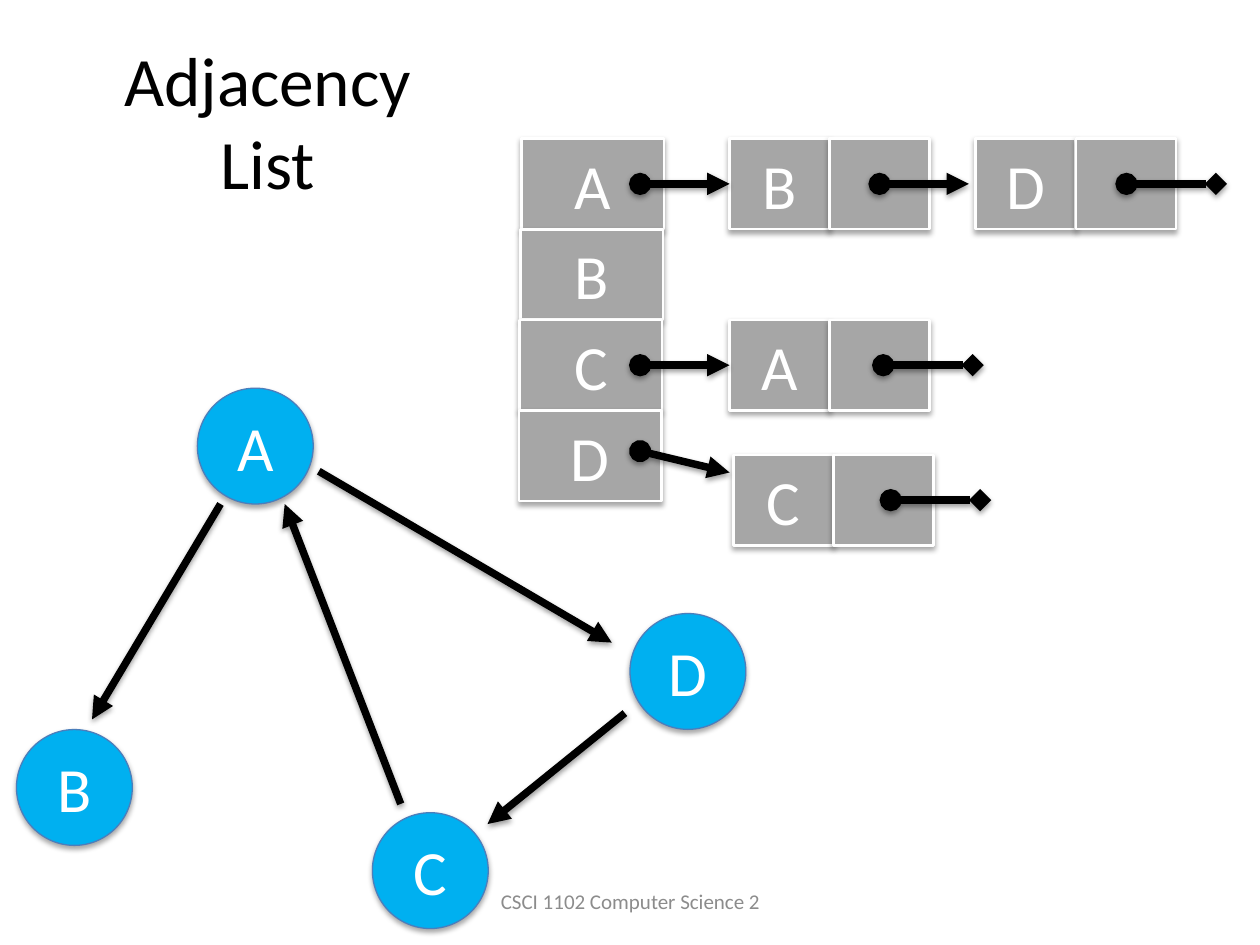
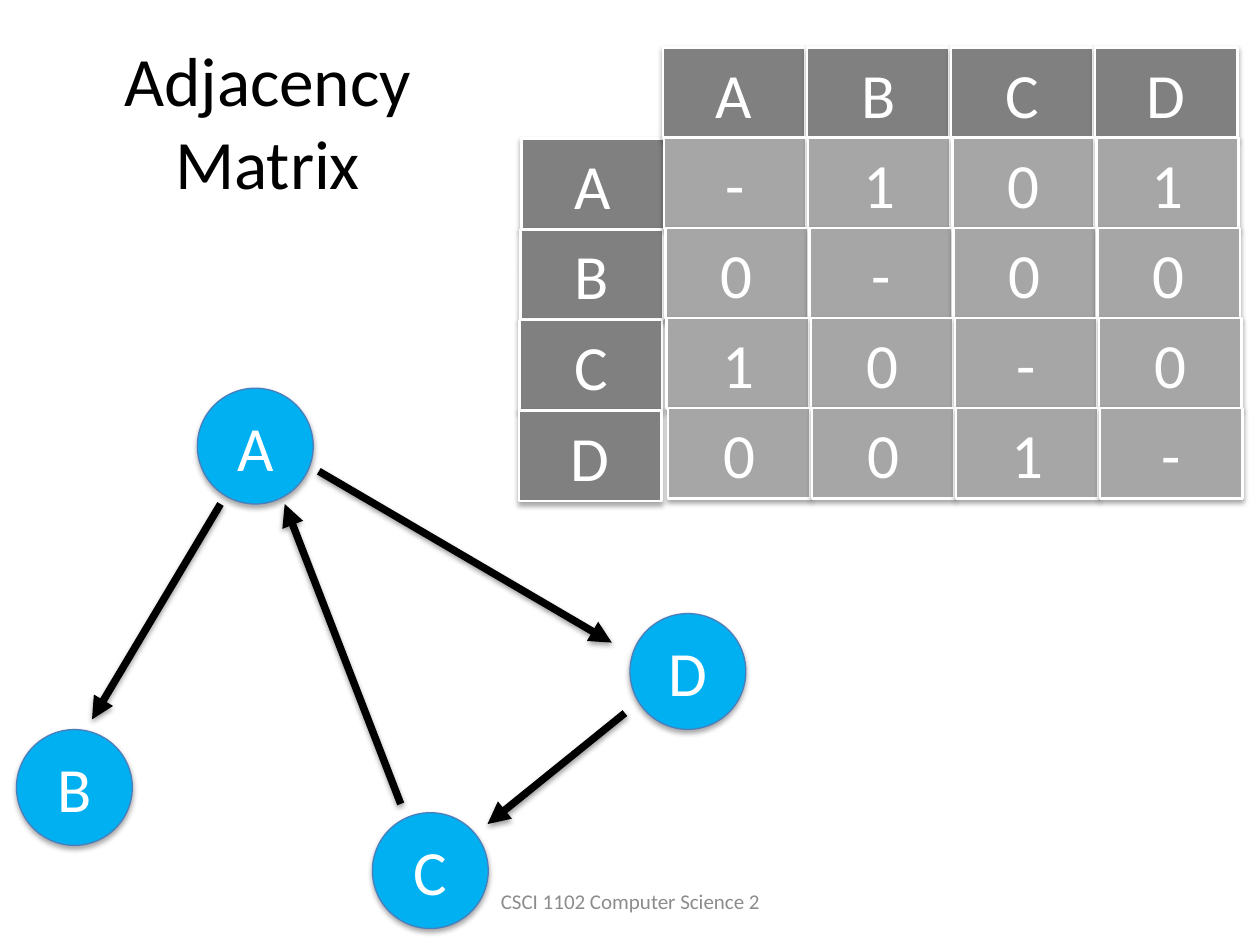
import pptx
import pptx.dml.color
import pptx.enum.shapes
import pptx.enum.text
import pptx.oxml.ns
import pptx.util
from lxml import etree

Pt = pptx.util.Pt
color = pptx.dml.color.RGBColor.from_string
SHAPE = pptx.enum.shapes.MSO_SHAPE

# Shared look
BLACK, WHITE, FOOTER_GREY = "000000", "FFFFFF", "8C8C8C"
LABEL_GREY, CELL_GREY = "808080", "A6A6A6"
NODE_BLUE, NODE_EDGE = "00B0F0", "4B7EBC"
FRAME_FORMAT = {
    "word_wrap": True,
    "vertical_anchor": pptx.enum.text.MSO_ANCHOR.MIDDLE,
}
NAMES = "ABCD"
CELL_WIDTH, CELL_HEIGHT, ROW_PITCH = 81.4, 51.8, 51.8
LABEL_LEFT, LABEL_TOP = 298, 79.2
NODE_SIZE = 66.2
HALF_WIDTH = 57.2


def add_box(shapes, kind, bounds, text="", fill=None, edge=WHITE, edge_width=1.5,
            size=36, ink=WHITE):
    """Add a text box (kind None) or a filled shape, which keeps the theme shadow."""
    bounds = [Pt(length) for length in bounds]
    if kind is None:
        box = shapes.add_textbox(*bounds)
    else:
        box = shapes.add_shape(kind, *bounds)
        box.fill.solid()
        box.fill.fore_color.rgb = color(fill)
        box.line.color.rgb = color(edge)
        box.line.width = Pt(edge_width)
    for name, value in FRAME_FORMAT.items():
        setattr(box.text_frame, name, value)
    if text:
        para = box.text_frame.paragraphs[0]
        para.text = text
        para.alignment = pptx.enum.text.PP_ALIGN.CENTER
        for name, value in {"name": "Calibri", "size": Pt(size)}.items():
            setattr(para.font, name, value)
        para.font.color.rgb = color(ink)
    return box


def add_arrow(page, start, end, head=None, tail="triangle"):
    """Add a thick black line with the given ends; it keeps the theme shadow."""
    arrow = page.shapes.add_connector(
        pptx.enum.shapes.MSO_CONNECTOR.STRAIGHT,
        *[Pt(length) for length in (*start, *end)])
    arrow.line.color.rgb = color(BLACK)
    arrow.line.width = Pt(4.25)
    for tag, kind in (("a:headEnd", head), ("a:tailEnd", tail)):
        if kind:
            etree.SubElement(arrow.line._ln, pptx.oxml.ns.qn(tag), type=kind)
    return arrow


deck = pptx.Presentation()
deck.slide_width, deck.slide_height = Pt(720), Pt(540)

# Graph shared by both slides
graph_nodes = {"A": (112.8, 221.8), "D": (360, 350.6),
               "B": (9.4, 416.9), "C": (212.8, 464.4)}
graph_edges = [
    ((182.2, 269.3), (349.6, 367.2)),  # A to D
    ((357.1, 407.5), (278.6, 470.9)),  # D to C
    ((229, 459.4), (162.7, 288)),      # C to A
    ((126, 288), (52.6, 411.1)),       # A to B
]

pages = []
for title, label_fill in (("Adjacency\vList", CELL_GREY), ("Adjacency\vMatrix", LABEL_GREY)):
    page = deck.slides.add_slide(deck.slide_layouts[6])
    pages.append(page)

    # Title and footer
    add_box(page.shapes, None, (8.6, 23.8, 288.7, 90), title, size=39.6, ink=BLACK)
    add_box(page.shapes, None, (246.2, 500.4, 228.2, 28.8),
            "CSCI 1102 Computer Science 2", size=12, ink=FOOTER_GREY)

    # Column of vertex labels, each a little further left
    for row, name in enumerate(NAMES):
        add_box(page.shapes, SHAPE.RECTANGLE,
                (LABEL_LEFT - 0.5 * row, LABEL_TOP + ROW_PITCH * row, CELL_WIDTH, CELL_HEIGHT),
                name, label_fill)

    # Graph
    for name, corner in graph_nodes.items():
        add_box(page.shapes, SHAPE.OVAL, (*corner, NODE_SIZE, NODE_SIZE),
                name, NODE_BLUE, NODE_EDGE, 0.75)
    for start, end in graph_edges:
        add_arrow(page, start, end)

list_page, matrix_page = pages

# Adjacency list: each entry is a pair of a name cell and a pointer cell
first_row, third_row = LABEL_TOP, LABEL_TOP + 2 * ROW_PITCH
entries = {}
for key, left, top in (("AB", 416.9, first_row), ("AD", 557.6, first_row),
                       ("CA", 416.9, third_row), ("DC", 419.2, 260)):
    pair = list_page.shapes.add_group_shape()
    name_cell, pointer_cell = [
        add_box(pair.shapes, SHAPE.RECTANGLE,
                (left + HALF_WIDTH * side, top, HALF_WIDTH, CELL_HEIGHT), text, CELL_GREY)
        for side, text in enumerate((key[1], ""))]
    entries[key] = name_cell

# Pointers from the labels and between entries, then the closing ones
first_middle, third_middle = first_row + CELL_HEIGHT / 2, third_row + CELL_HEIGHT / 2
for key, middle in (("AB", first_middle), ("CA", third_middle)):
    pointer = add_arrow(list_page, (365.8, middle), (416.9, middle), "oval")
    pointer.end_connect(entries[key], 1)
add_arrow(list_page, (365.8, 257.8), (416.9, 270), "oval")
add_arrow(list_page, (502.6, first_middle), (553.7, first_middle), "oval")
for left, middle in ((643.7, first_middle), (504.7, third_middle), (509, 285.8)):
    add_arrow(list_page, (left, middle), (left + 51.1, middle), "oval", "diamond")

# Adjacency matrix: header row and values, each row a little further right
matrix_rows = [NAMES, "-101", "0-00", "10-0", "001-"]
for row, values in enumerate(matrix_rows):
    for column, value in enumerate(values):
        add_box(matrix_page.shapes, SHAPE.RECTANGLE,
                (378.8 + 82.3 * column + 0.75 * row, 27.2 + 51.5 * row,
                 CELL_WIDTH, CELL_HEIGHT),
                value, CELL_GREY if row else LABEL_GREY)

deck.save("out.pptx")
